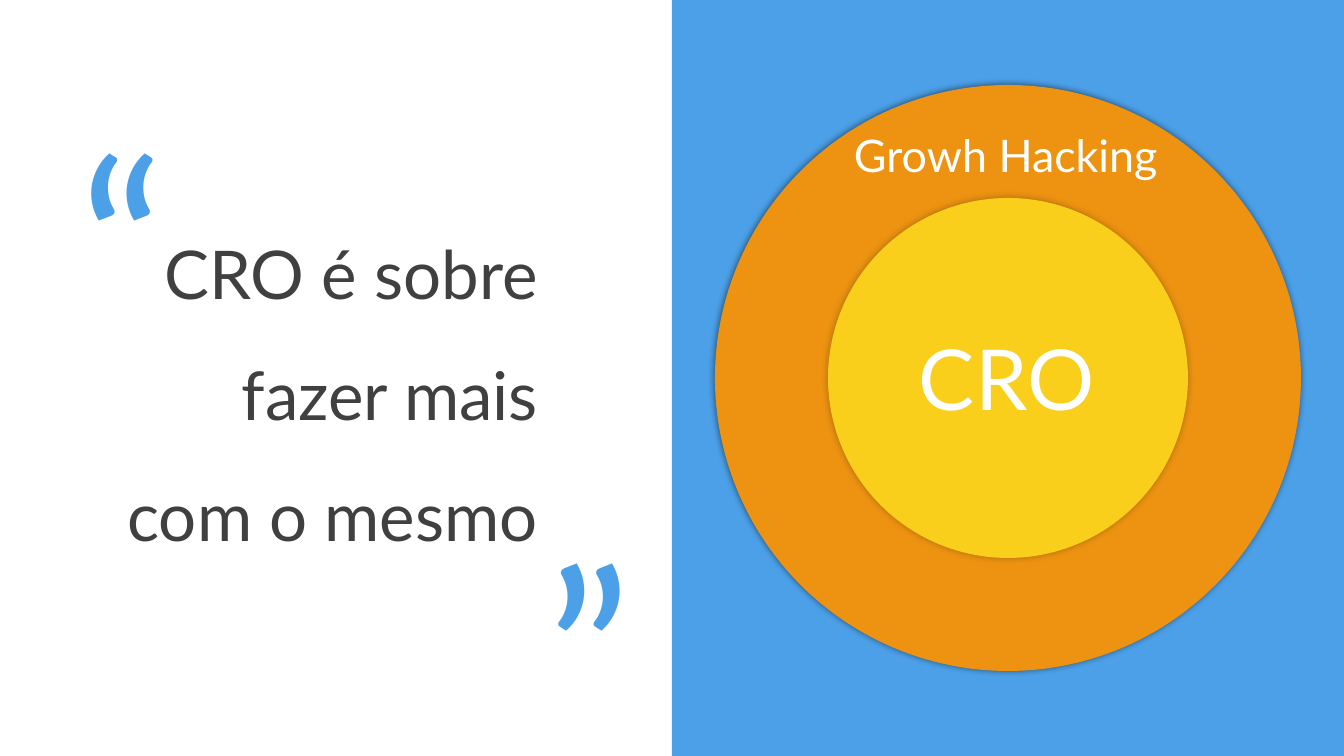
from lxml import etree
from pptx import Presentation
from pptx.dml.color import RGBColor
from pptx.enum.shapes import MSO_SHAPE
from pptx.enum.text import MSO_AUTO_SIZE, PP_ALIGN
from pptx.oxml.ns import qn
from pptx.util import Pt

RECTANGLE, ELLIPSE = MSO_SHAPE.RECTANGLE, MSO_SHAPE.OVAL
LEFT, RIGHT = PP_ALIGN.LEFT, PP_ALIGN.RIGHT
GROW = MSO_AUTO_SIZE.SHAPE_TO_FIT_TEXT

SLIDE_W, SLIDE_H = 1344, 756
EMU_PER_PX = 12192000 / SLIDE_W
FONT = "Lato"
BLUE, ORANGE, YELLOW = "4CA0E8", "ED9311", "F9CF1C"
WHITE, DARK = "FFFFFF", "404040"


def px(length):
    return round(length * EMU_PER_PX)


def color(hex_string):
    return RGBColor.from_string(hex_string)


def add_filled(slide, preset, box, fill):
    shape = slide.shapes.add_shape(preset, *map(px, box))
    shape.fill.solid()
    shape.fill.fore_color.rgb = color(fill)
    shape.line.fill.background()
    shape.shadow.inherit = False
    return shape


def add_glow_shadow(shape, opacity, blur=5):
    """Add a black shadow without offset; opacity in percent, blur in points."""
    effects = shape._element.spPr.find(qn("a:effectLst"))
    shadow = etree.SubElement(effects, qn("a:outerShdw"), blurRad=str(Pt(blur)),
                              dist="0", dir="0", algn="ctr", rotWithShape="0")
    black = etree.SubElement(shadow, qn("a:srgbClr"), val="000000")
    etree.SubElement(black, qn("a:alpha"), val=str(opacity * 1000))


def add_text(slide, text, box, size, fill, align=LEFT, wrap=False, spacing=None):
    frame = slide.shapes.add_textbox(*map(px, box)).text_frame
    frame.word_wrap = wrap
    frame.auto_size = GROW
    paragraph = frame.paragraphs[0]
    paragraph.alignment = align
    paragraph.line_spacing = spacing
    run = paragraph.add_run()
    run.text = text
    run.font.name = FONT
    run.font.size = Pt(size)
    run.font.color.rgb = color(fill)


def centered(center_x, center_y, width, height):
    return center_x - width / 2, center_y - height / 2, width, height


def draw_circles_panel(slide, box):
    left, top, width, height = box
    middle_x, middle_y = left + width / 2, top + height / 2
    add_filled(slide, RECTANGLE, box, BLUE)
    for diameter, fill, opacity in ((586, ORANGE, 50), (360, YELLOW, 25)):
        circle = add_filled(slide, ELLIPSE,
                            centered(middle_x, middle_y, diameter, diameter), fill)
        add_glow_shadow(circle, opacity)
    add_text(slide, "Growh Hacking", centered(middle_x, top + 155, 328, 64), 32, WHITE)
    add_text(slide, "CRO", centered(middle_x, middle_y, 198, 112), 60, WHITE)


def draw_quote(slide, box):
    left, top, _, _ = box
    add_text(slide, "CRO é sobre fazer mais com o mesmo",
             (left + 101, top + 187, 447, 377), 48, DARK,
             align=RIGHT, wrap=True, spacing=1.5)
    for mark, x, y in (("“", 70, 94), ("”", 537, 504)):
        add_text(slide, mark, (left + x, top + y, 106, 291), 166, BLUE)


def main():
    presentation = Presentation()
    presentation.slide_width, presentation.slide_height = px(SLIDE_W), px(SLIDE_H)
    slide = presentation.slides.add_slide(presentation.slide_layouts[6])
    half = SLIDE_W // 2
    draw_circles_panel(slide, (half, 0, half, SLIDE_H))
    draw_quote(slide, (0, 0, half, SLIDE_H))
    presentation.save("out.pptx")


if __name__ == "__main__":
    main()
